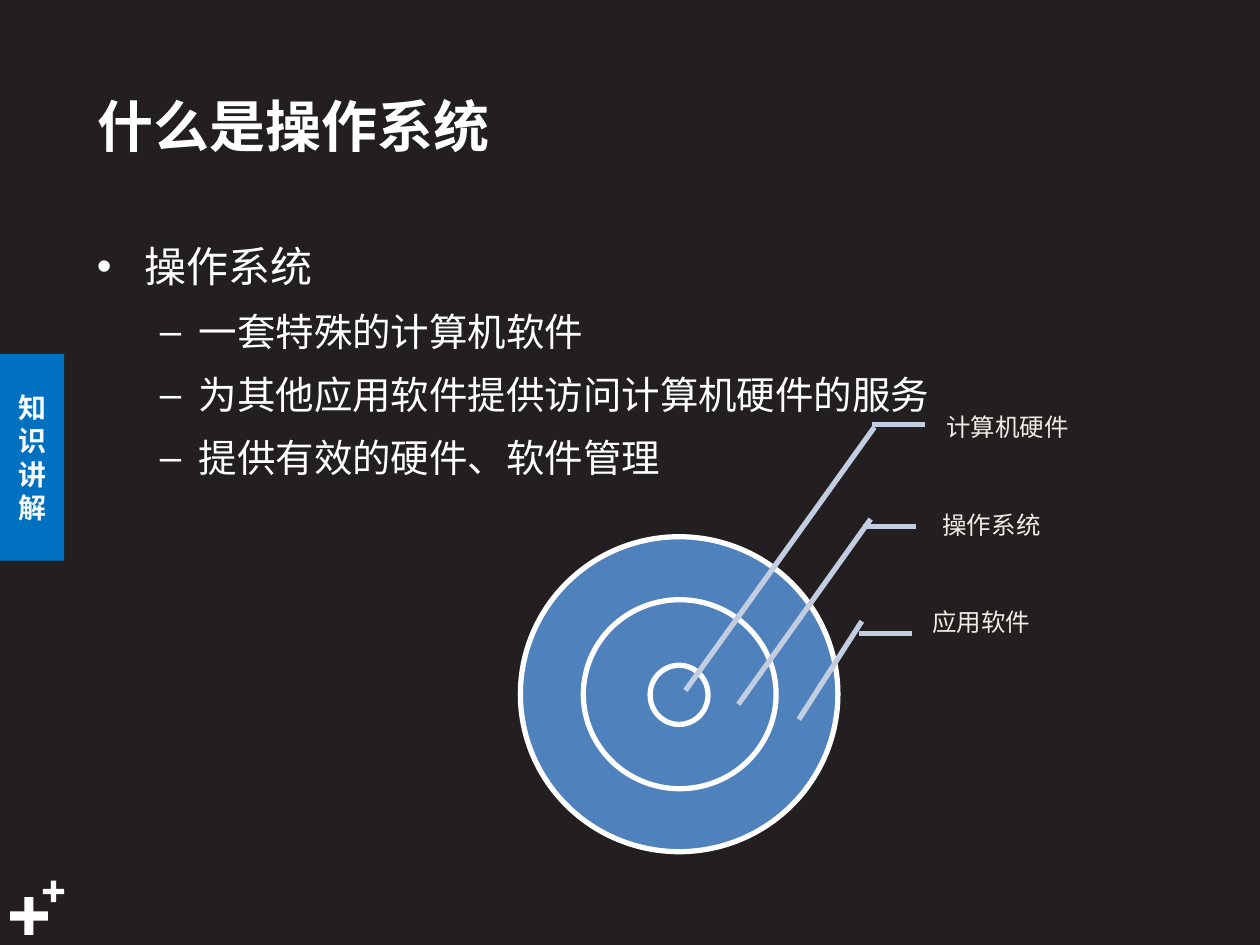
import pptx
import pptx.util
import pptx.dml.color
import pptx.enum.shapes
import pptx.enum.text
import pptx.oxml.ns
from lxml import etree

Inches, Pt = pptx.util.Inches, pptx.util.Pt
SHAPE = pptx.enum.shapes.MSO_SHAPE
ALIGN = pptx.enum.text.PP_ALIGN
MIDDLE = pptx.enum.text.MSO_ANCHOR.MIDDLE
qn = pptx.oxml.ns.qn

# Content
TITLE = "什么是操作系统"
TAB = "知识讲解"
BODY = [  # level, text
    (0, "操作系统"),
    (1, "一套特殊的计算机软件"),
    (1, "为其他应用软件提供访问计算机硬件的服务"),
    (1, "提供有效的硬件、软件管理"),
]
RINGS = [  # left, top, width, height, outermost first
    (4.13, 4.26, 2.52, 2.5),
    (4.63, 4.76, 1.53, 1.5),
    (5.16, 5.28, 0.46, 0.47),
]
CALLOUTS = [  # label, label box, shelf start, pointer start, pointer end
    ("计算机硬件", (7.4, 3.07, 1.78, 0.67), (6.92, 3.37), (6.94, 3.39), (5.44, 5.48)),
    ("操作系统", (7.37, 4, 1.58, 0.36), (6.85, 4.18), (6.91, 4.12), (5.86, 5.59)),
    ("应用软件", (7.29, 4.72, 1.62, 0.45), (6.82, 5.03), (6.84, 4.93), (6.34, 5.71)),
]
SHELF = 0.42
PLUSES = [(0.08, 7.12, 0.3, 0.3), (0.34, 6.99, 0.17, 0.17)]

THEME = {
    "font": "Noto Sans CJK SC",
    "background": "231F20", "white": "FFFFFF", "tab": "0070C0",
    "tab_text": "F9FAFB", "ring": "4F81BD", "label": "EFEDE3", "pointer": "C2CDE1",
    "title_size": 32, "tab_size": 16, "label_size": 14, "line": 3,
}
LEVELS = [  # size, left margin, hanging indent, bullet
    (24, 0.38, 0.38, "•"),
    (22, 0.81, 0.31, "–"),
]


def color(key):
    return pptx.dml.color.RGBColor.from_string(THEME[key])


def inches(box):
    return [Inches(value) for value in box]


def add_run(paragraph, text, size, color_key, bold=False):
    run = paragraph.add_run()
    run.text = text
    font = run.font
    font.name, font.size, font.bold = THEME["font"], Pt(size), bold
    font.color.rgb = color(color_key)
    latin = run._r.rPr.find(qn("a:latin"))
    east_asian = etree.Element(qn("a:ea"), typeface=THEME["font"])
    latin.addnext(east_asian)


def add_filled(kind, box, fill, line=None):
    shape = slide.shapes.add_shape(kind, *inches(box))
    shape.shadow.inherit = False
    shape.fill.solid()
    shape.fill.fore_color.rgb = color(fill)
    if line:
        shape.line.color.rgb = color(line)
        shape.line.width = Pt(THEME["line"])
    else:
        shape.line.fill.background()
    return shape


def add_line(start, end):
    line = slide.shapes.add_connector(
        pptx.enum.shapes.MSO_CONNECTOR.STRAIGHT, *inches(start + end))
    line.line.color.rgb = color("pointer")
    line.line.width = Pt(THEME["line"])
    etree.SubElement(line._element.spPr, qn("a:effectLst"))


def add_bullet(paragraph, margin, hanging, bullet):
    properties = paragraph._p.get_or_add_pPr()
    properties.set("marL", str(Inches(margin)))
    properties.set("indent", str(-Inches(hanging)))
    etree.SubElement(properties, qn("a:buFont"), typeface="Arial")
    etree.SubElement(properties, qn("a:buChar"), char=bullet)


deck = pptx.Presentation()
deck.slide_width, deck.slide_height = Inches(10), Inches(7.5)
slide = deck.slides.add_slide(deck.slide_layouts[5])
slide.background.fill.solid()
slide.background.fill.fore_color.rgb = color("background")

# Corner pluses
for box in PLUSES:
    add_filled(SHAPE.CROSS, box, "white").adjustments[0] = 0.378

# Side tab, narrow enough to stack one character per line
tab = add_filled(SHAPE.RECTANGLE, (0, 2.81, 0.51, 1.64), "tab").text_frame
tab.word_wrap = True
tab.vertical_anchor = MIDDLE
tab.paragraphs[0].alignment = ALIGN.CENTER
add_run(tab.paragraphs[0], TAB, THEME["tab_size"], "tab_text", bold=True)

# Title
title = slide.shapes.title
title.left, title.top, title.width, title.height = inches((0.67, 0.6, 7.4, 0.78))
title.text_frame.vertical_anchor = MIDDLE
heading = title.text_frame.paragraphs[0]
heading.alignment = ALIGN.LEFT
add_run(heading, TITLE, THEME["title_size"], "white", bold=True)

# Bulleted body
body = slide.shapes.add_textbox(*inches((0.67, 1.78, 8.32, 1.1))).text_frame
body.word_wrap = True
body.auto_size = pptx.enum.text.MSO_AUTO_SIZE.SHAPE_TO_FIT_TEXT
for index, (level, text) in enumerate(BODY):
    item = body.add_paragraph() if index else body.paragraphs[0]
    size, margin, hanging, bullet = LEVELS[level]
    item.level = level
    item.line_spacing = 1.2
    item.space_before = Pt(round(size * 0.2, 1))
    add_bullet(item, margin, hanging, bullet)
    add_run(item, text, size, "white")

# Concentric rings
for box in RINGS:
    add_filled(SHAPE.OVAL, box, "ring", "white")

# Callouts: label, shelf and pointer into a ring
for text, box, shelf, start, end in CALLOUTS:
    label = slide.shapes.add_textbox(*inches(box)).text_frame
    label.word_wrap = True
    label.vertical_anchor = MIDDLE
    label.margin_left = Inches(0.11)
    label.margin_top = label.margin_right = label.margin_bottom = Inches(0.02)
    caption = label.paragraphs[0]
    caption.line_spacing = 0.9
    caption.space_after = Pt(round(THEME["label_size"] * 0.35, 1))
    add_run(caption, text, THEME["label_size"], "label")
    add_line(shelf, (shelf[0] + SHELF, shelf[1]))
    add_line(start, end)

deck.save("out.pptx")
